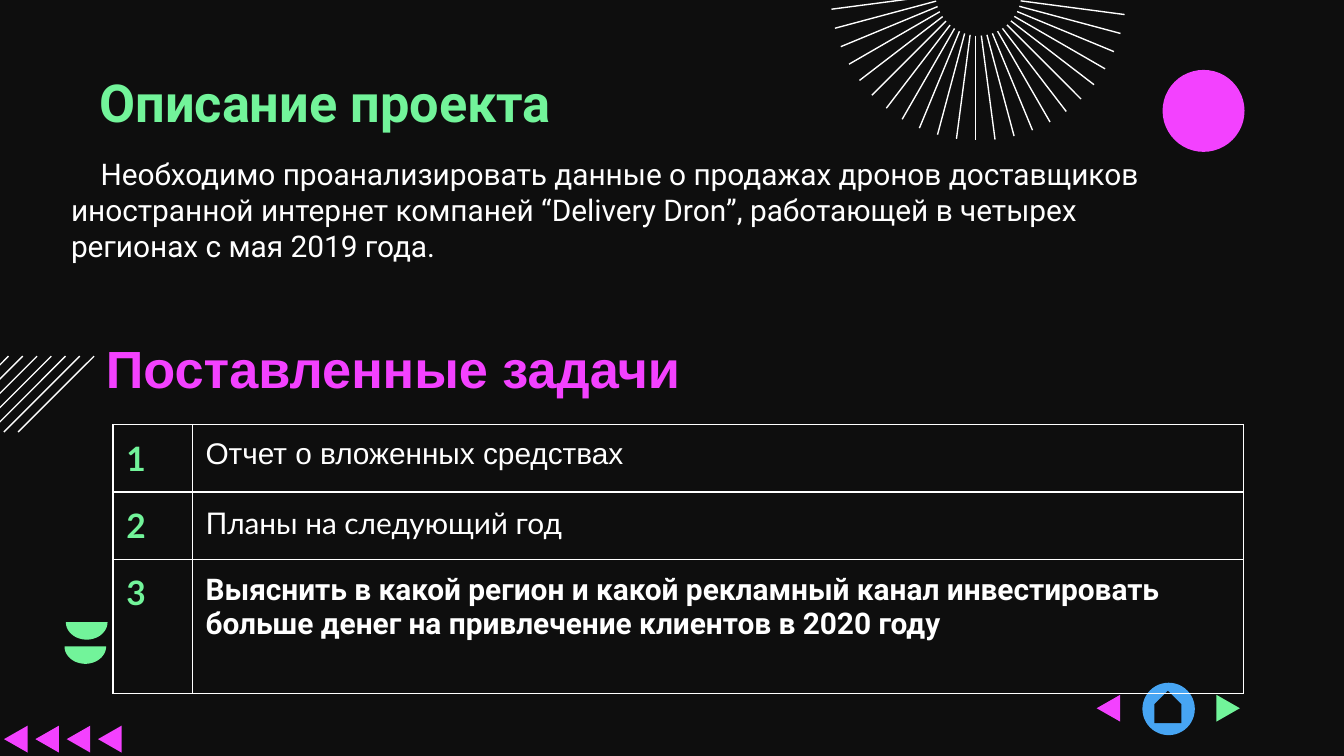
import dataclasses
import math

import lxml.etree
import pptx
import pptx.dml.color
import pptx.enum.shapes
import pptx.enum.text
import pptx.oxml
import pptx.oxml.ns
import pptx.util

# All lengths are in grid units: the slide has 100 columns and 56.25 rows.
COLUMNS, ROWS = 100, 56.25
BLACK, WHITE, GREEN, PINK, BLUE = "0E0E0E", "FFFFFF", "72F49A", "F341FF", "47A5F3"
SHAPE = pptx.enum.shapes.MSO_SHAPE


@dataclasses.dataclass
class Area:
    left: float
    top: float
    width: float
    height: float


@dataclasses.dataclass
class Triangle:
    area: Area
    color: str
    points_left: bool = True


@dataclasses.dataclass
class Task:
    number: str
    text: str
    font: str
    height: float
    bold: bool = False


def grid(units: float) -> pptx.util.Emu:
    return pptx.util.Emu(round(units * pptx.util.Inches(0.1)))


def frame(area: Area) -> list:
    return [grid(side) for side in dataclasses.astuple(area)]


def rgb(color: str) -> pptx.dml.color.RGBColor:
    return pptx.dml.color.RGBColor.from_string(color)


def paint(shape, color: str) -> None:
    shape.shadow.inherit = False
    shape.fill.solid()
    shape.fill.fore_color.rgb = rgb(color)
    shape.line.fill.background()


def add_preset(page, kind, area: Area, color: str):
    shape = page.shapes.add_shape(kind, *frame(area))
    paint(shape, color)
    return shape


def add_polygon(page, points: list, color: str) -> None:
    start, *others = [(grid(x), grid(y)) for x, y in points]
    builder = page.shapes.build_freeform(*start, scale=1.0)
    builder.add_line_segments(others, close=True)
    paint(builder.convert_to_shape(), color)


def add_triangle(page, triangle: Triangle) -> None:
    area = triangle.area
    base, tip = area.left, area.left + area.width
    if triangle.points_left:
        base, tip = tip, base
    points = [(base, area.top), (tip, area.top + area.height / 2), (base, area.top + area.height)]
    add_polygon(page, points, triangle.color)


def add_bowl(page, area: Area, color: str) -> None:
    """Draw the lower half of an ellipse."""
    radius = area.width / 2
    angles = [math.pi * step / 32 for step in range(33)]
    points = [(area.left + radius * (1 + math.cos(a)), area.top + area.height * math.sin(a))
              for a in angles]
    add_polygon(page, points, color)


def add_line(page, x1: float, y1: float, x2: float, y2: float) -> None:
    line = page.shapes.add_connector(
        pptx.enum.shapes.MSO_CONNECTOR.STRAIGHT, grid(x1), grid(y1), grid(x2), grid(y2))
    line.line.color.rgb = rgb(WHITE)
    line.line.width = pptx.util.Pt(0.75)
    lxml.etree.SubElement(line._element.spPr, pptx.oxml.ns.qn("a:effectLst"))


def add_sunburst(page) -> None:
    center_x, center_y, inner, outer, offset = 72.8, -0.55, 3.2, 11, 0.2
    for step in range(1, 24):
        angle = math.radians(7.5 * step)
        cos, sin = math.cos(angle), math.sin(angle)
        x, y = center_x - offset * sin, center_y + offset * cos
        add_line(page, x + inner * cos, y + inner * sin, x + outer * cos, y + outer * sin)


def write(text_frame, text: str, *, size: float, font: str, color: str,
          bold: bool = False, indent: float = 0, wrap: bool = True) -> None:
    text_frame.word_wrap = wrap
    text_frame.vertical_anchor = pptx.enum.text.MSO_ANCHOR.TOP
    para = text_frame.paragraphs[0]
    para.alignment = pptx.enum.text.PP_ALIGN.LEFT
    if indent:
        properties = para._p.get_or_add_pPr()
        properties.set("marL", "0")
        properties.set("indent", str(grid(indent)))
    span = para.add_run()
    span.text = text
    span.font.size = pptx.util.Pt(size)
    span.font.name = font
    span.font.bold = bold
    span.font.color.rgb = rgb(color)


def add_text(page, area: Area, text: str, **style) -> None:
    write(page.shapes.add_textbox(*frame(area)).text_frame, text, **style)


def add_borders(cell) -> None:
    properties = cell._tc.get_or_add_tcPr()
    for index, side in enumerate(("lnL", "lnR", "lnT", "lnB")):
        properties.insert(index, pptx.oxml.parse_xml(
            f'<a:{side} {pptx.oxml.ns.nsdecls("a")} w="{pptx.util.Pt(0.75)}">'
            f'<a:solidFill><a:srgbClr val="{WHITE}"/></a:solidFill></a:{side}>'))


def add_tasks(page, area: Area, widths: list, tasks: list) -> None:
    table = page.shapes.add_table(len(tasks), len(widths), *frame(area)).table
    table.first_row = table.horz_banding = False
    for column, width in zip(table.columns, widths):
        column.width = grid(width)
    for row, task in zip(table.rows, tasks):
        row.height = grid(task.height)
        number, text = row.cells
        for cell in (number, text):
            cell.margin_left = cell.margin_right = cell.margin_top = cell.margin_bottom = grid(1)
            cell.fill.background()
            add_borders(cell)
        write(number.text_frame, task.number, size=18, font="Lato", color=GREEN, bold=True)
        write(text.text_frame, task.text, size=16, font=task.font, color=WHITE, bold=task.bold)


def main() -> None:
    deck = pptx.Presentation()
    deck.slide_width, deck.slide_height = grid(COLUMNS), grid(ROWS)
    page = deck.slides.add_slide(deck.slide_layouts[5])
    page.background.fill.solid()
    page.background.fill.fore_color.rgb = rgb(BLACK)

    add_bowl(page, Area(4.8, 48.1, 3.1, 1.3), GREEN)
    add_bowl(page, Area(4.9, 46.3, 3.1, 1.3), GREEN)
    for step in range(7):
        right = 7 - 1.06 * step
        add_line(page, right, 26.5, right - 5.65, 32.15)

    title = page.shapes.title
    title.left, title.top, title.width, title.height = frame(Area(6.4, 5.2, 55.5, 4.6))
    title.text_frame.margin_top = 0
    title.text_frame.margin_left = title.text_frame.margin_right = grid(1)
    write(title.text_frame, "Описание проекта", size=28, font="Roboto", color=GREEN, bold=True)

    add_preset(page, SHAPE.OVAL, Area(86.5, 5.2, 6.1, 6.1), PINK)
    add_preset(page, SHAPE.OVAL, Area(85, 50.8, 3.9, 3.9), BLUE)
    house = add_preset(page, SHAPE.PENTAGON, Area(85.7, 51.6, 2.4, 2), BLACK)
    house.rotation = 270
    triangles = [Triangle(Area(0.3 + 2.33 * step, 54, 1.75, 2), PINK) for step in range(4)]
    triangles.append(Triangle(Area(81.6, 51.7, 1.75, 2), PINK))
    triangles.append(Triangle(Area(90.5, 51.7, 1.75, 2), GREEN, points_left=False))
    for triangle in triangles:
        add_triangle(page, triangle)
    add_sunburst(page)

    add_text(page, Area(4.3, 11.1, 85.2, 11.7),
             "Необходимо проанализировать данные о продажах дронов доставщиков иностранной "
             "интернет компаней “Delivery Dron”, работающей в четырех регионах c мая 2019 года.",
             size=16, font="Roboto", color=WHITE, indent=2.2)
    add_text(page, Area(6.9, 24.5, 45.1, 10.3), "Поставленные задачи",
             size=28, font="Arial", color=PINK, bold=True, wrap=False)
    add_tasks(page, Area(8.4, 31.6, 84.1, 20), [5.9, 78.2], [
        Task("1", "Отчет о вложенных средствах", "Arial", 5),
        Task("2", "Планы на следующий год", "Lato", 5),
        Task("3", "Выяснить в какой регион и какой рекламный канал инвестировать "
                  "больше денег на привлечение клиентов в 2020 году", "Roboto", 10, bold=True),
    ])
    deck.save("out.pptx")


if __name__ == "__main__":
    main()
